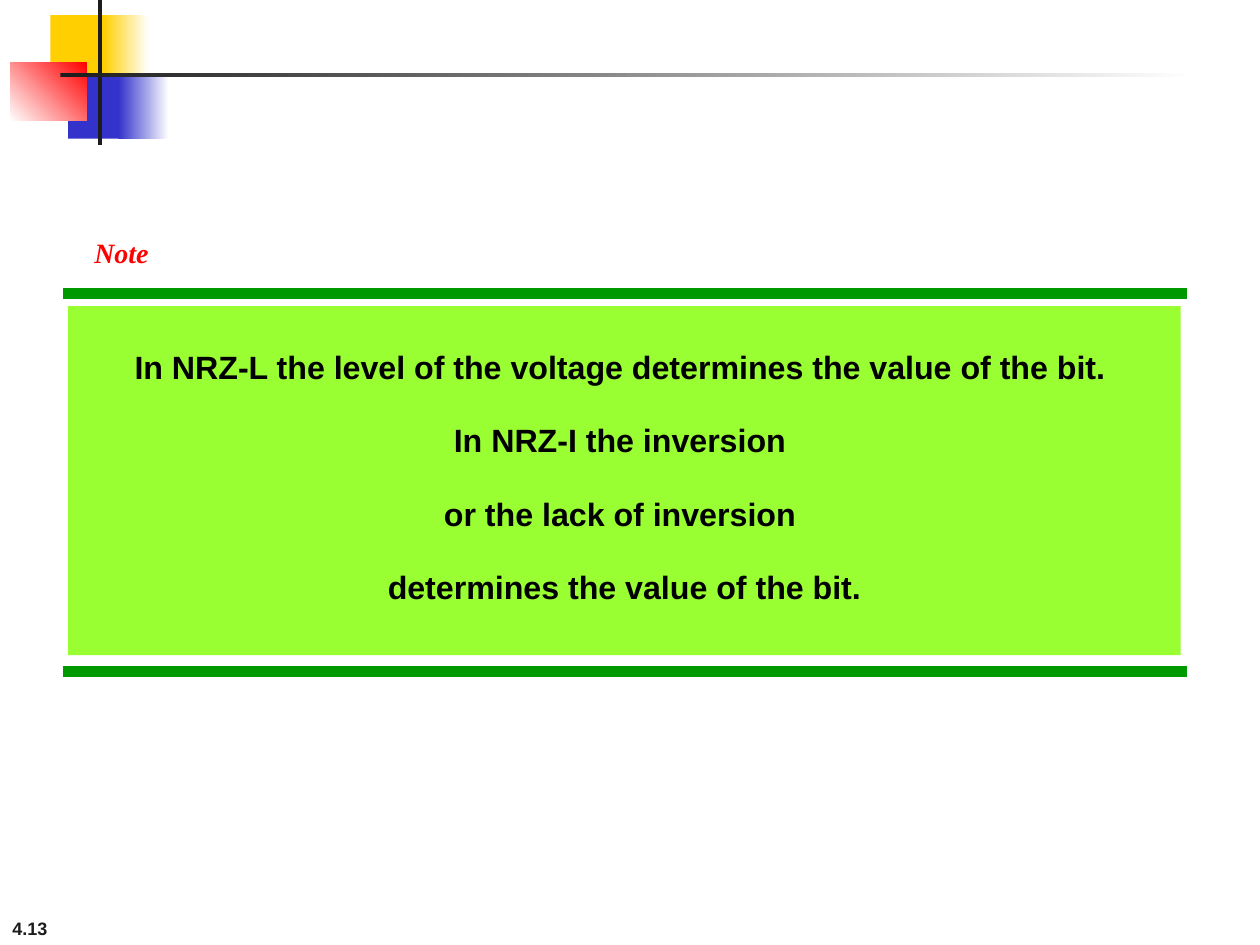
from lxml import etree
from pptx import Presentation
from pptx.dml.color import RGBColor
from pptx.enum.shapes import MSO_CONNECTOR, MSO_SHAPE
from pptx.enum.text import MSO_ANCHOR, PP_ALIGN
from pptx.oxml.ns import qn
from pptx.util import Inches, Pt

RECTANGLE = MSO_SHAPE.RECTANGLE
STRAIGHT = MSO_CONNECTOR.STRAIGHT
TOP, BOTTOM = MSO_ANCHOR.TOP, MSO_ANCHOR.BOTTOM
LEFT, CENTER = PP_ALIGN.LEFT, PP_ALIGN.CENTER

WHITE = RGBColor(0xFF, 0xFF, 0xFF)
BLACK = RGBColor(0x00, 0x00, 0x00)
CHARCOAL = RGBColor(0x1C, 0x1C, 0x1C)
YELLOW = RGBColor(0xFF, 0xCF, 0x01)
BLUE = RGBColor(0x33, 0x33, 0xCC)
RED = RGBColor(0xFF, 0x00, 0x00)
GREEN = RGBColor(0x00, 0x99, 0x00)
LIME = RGBColor(0x99, 0xFF, 0x33)


class NotePage:
    """Holds the slide and the style of its elements."""

    sans = "Arial"
    serif = "Times New Roman"
    rule_width = Pt(6)

    def __init__(self, deck):
        self.page = deck.slides.add_slide(deck.slide_layouts[6])

    def block(self, left, top, width, height, color, end_color=None, angle=0):
        """Rectangle in one colour, or fading to end_color."""
        box = self.page.shapes.add_shape(
            RECTANGLE, Inches(left), Inches(top), Inches(width), Inches(height))
        box.shadow.inherit = False
        box.line.fill.background()
        if end_color is None:
            box.fill.solid()
            box.fill.fore_color.rgb = color
        else:
            box.fill.gradient()
            box.fill.gradient_angle = angle
            for stop, stop_color in zip(box.fill.gradient_stops, (color, end_color)):
                stop.color.rgb = stop_color
        return box

    def rule(self, left, right, y):
        line = self.page.shapes.add_connector(
            STRAIGHT, Inches(left), Inches(y), Inches(right), Inches(y))
        line.line.color.rgb = GREEN
        line.line.width = self.rule_width
        etree.SubElement(line._element.spPr, qn("a:effectLst"))

    def set_text(self, box, text, size, color, font=sans, align=LEFT, anchor=TOP,
                 italic=False, spacing=1.0, wrap=True):
        frame = box.text_frame
        frame.word_wrap = wrap
        frame.vertical_anchor = anchor
        para = frame.paragraphs[0]
        para.text = text
        para.alignment = align
        para.line_spacing = spacing
        para.font.name = font
        para.font.size = Pt(size)
        para.font.bold = True
        para.font.italic = italic
        para.font.color.rgb = color

    def label(self, left, top, width, height, text, size, color, **style):
        box = self.page.shapes.add_textbox(
            Inches(left), Inches(top), Inches(width), Inches(height))
        self.set_text(box, text, size, color, **style)


def main():
    deck = Presentation()
    deck.slide_width, deck.slide_height = Inches(10), Inches(7.5)
    note = NotePage(deck)

    # Page number
    note.label(0, 7, 2.08, 0.5, "4.13", 10.3, CHARCOAL, anchor=BOTTOM)

    # Corner ornament
    note.block(0.4, 0.12, 0.48, 0.52, YELLOW)
    note.block(0.82, 0.12, 0.36, 0.52, YELLOW, WHITE)
    note.block(0.54, 0.58, 0.46, 0.52, BLUE)
    note.block(0.94, 0.58, 0.4, 0.52, BLUE, WHITE)
    note.block(0.08, 0.5, 0.61, 0.46, WHITE, RED, angle=45)
    note.block(0.78, 0, 0.03, 1.15, CHARCOAL)
    note.block(0.48, 0.58, 9, 0.03, CHARCOAL, WHITE)

    # Note between two rules
    for y in (2.33, 5.33):
        note.rule(0.5, 9.42, y)
    panel = note.block(0.54, 2.43, 8.83, 2.77, LIME)
    lines = (
        "In NRZ-L the level of the voltage determines the value of the bit. ",
        "In NRZ-I the inversion ",
        "or the lack of inversion ",
        "determines the value of the bit.",
    )
    note.set_text(panel, "\v".join(lines), 18.4, BLACK, align=CENTER, spacing=1.9)
    note.label(0.65, 1.58, 0.96, 0.57, "Note", 16, RED, font=note.serif,
               italic=True, spacing=1.9, wrap=False)

    deck.save("out.pptx")


if __name__ == "__main__":
    main()
